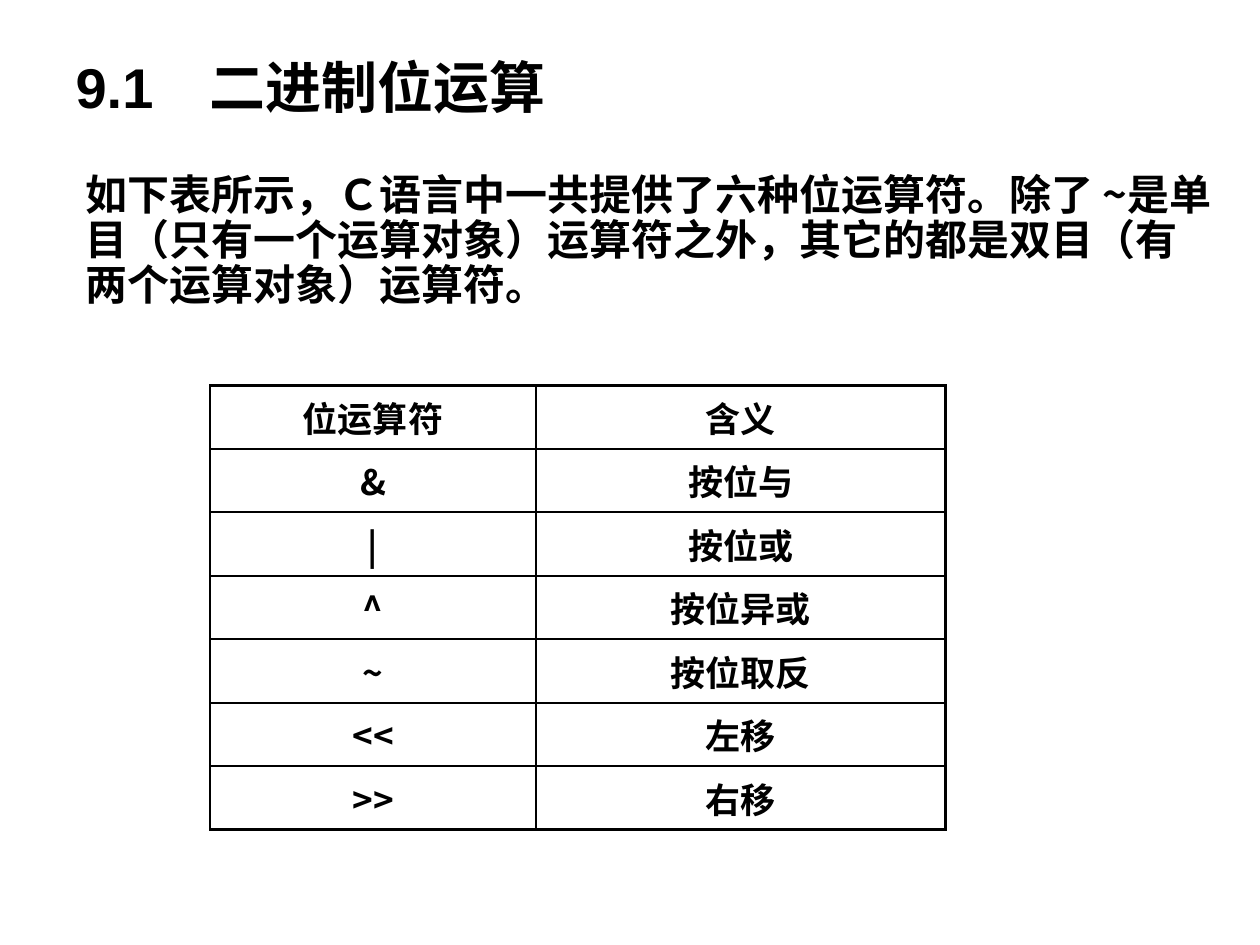
from lxml.etree import SubElement
from pptx import Presentation
from pptx.dml.color import RGBColor
from pptx.enum.text import MSO_ANCHOR as Anchor, MSO_AUTO_SIZE as AutoSize, PP_ALIGN as Align
from pptx.oxml import parse_xml
from pptx.oxml.ns import nsdecls, qn
from pptx.util import Cm, Pt

COLORS = {"ink": "000000", "paper": "FFFFFF"}
CJK = "Noto Sans CJK SC"
TITLE = "9.1　二进制位运算"
INTRO = (
    "如下表所示，Ｃ语言中一共提供了六种位运算符。除了 ~是单目（只有一个运算对象）运算符之外，"
    "其它的都是双目（有两个运算对象）运算符。"
)
OPERATORS = [
    ("位运算符", "含义"),
    ("&", "按位与"),
    ("|", "按位或"),
    ("^", "按位异或"),
    ("~", "按位取反"),
    ("<<", "左移"),
    (">>", "右移"),
]
ANCHORS = {"^": Anchor.MIDDLE, "~": Anchor.BOTTOM}
COLUMN_WIDTHS = (Cm(6.56), Cm(8.26))
ROW_HEIGHT = Cm(1.12)
BORDER_WIDTH = Pt(1.47)
FRAME_FORMAT = {"word_wrap": True, "auto_size": AutoSize.NONE}


def apply_format(target, values):
    for name, value in values.items():
        setattr(target, name, value)


def write_text(frame, text, size, latin=CJK, **para_format):
    para = frame.paragraphs[0]
    apply_format(para, para_format)
    span = para.add_run()
    span.text = text
    apply_format(span.font, {"name": latin, "size": Pt(size), "bold": True})
    span.font.color.rgb = RGBColor.from_string(COLORS["ink"])
    SubElement(span.font._element, qn("a:ea")).set("typeface", CJK)


def place_title(page):
    title = page.shapes.title
    apply_format(title, {"left": Cm(1.27), "top": Cm(0.76), "width": Cm(22.86), "height": Cm(1.96)})
    apply_format(title.text_frame, {**FRAME_FORMAT, "vertical_anchor": Anchor.MIDDLE})
    write_text(title.text_frame, TITLE, 32, latin="Arial", alignment=Align.LEFT)


def add_intro(page):
    box = page.shapes.add_textbox(Cm(1.47), Cm(3.38), Cm(23.24), Cm(3.28))
    apply_format(box.text_frame, FRAME_FORMAT)
    write_text(box.text_frame, INTRO, 24, line_spacing=0.9)


def add_borders(cell):
    properties = cell._tc.get_or_add_tcPr()
    for position, side in enumerate(("lnL", "lnR", "lnT", "lnB")):
        line = parse_xml(
            f'<a:{side} {nsdecls("a")} w="{BORDER_WIDTH}"><a:solidFill>'
            f'<a:srgbClr val="{COLORS["ink"]}"/></a:solidFill></a:{side}>'
        )
        properties.insert(position, line)


def add_operator_table(page):
    frame = page.shapes.add_table(
        len(OPERATORS), len(COLUMN_WIDTHS), Cm(4.24), Cm(7.77),
        sum(COLUMN_WIDTHS), ROW_HEIGHT * len(OPERATORS),
    )
    table = frame.table
    apply_format(table, {"first_row": False, "horz_banding": False})
    for column, width in zip(table.columns, COLUMN_WIDTHS):
        column.width = width
    for row, texts in zip(table.rows, OPERATORS):
        row.height = ROW_HEIGHT
        for cell, text in zip(row.cells, texts):
            cell.fill.solid()
            cell.fill.fore_color.rgb = RGBColor.from_string(COLORS["paper"])
            cell.vertical_anchor = ANCHORS.get(text, Anchor.TOP)
            add_borders(cell)
            write_text(cell.text_frame, text, 20, alignment=Align.CENTER)


def main():
    deck = Presentation()
    apply_format(deck, {"slide_width": Cm(25.4), "slide_height": Cm(19.05)})
    page = deck.slides.add_slide(deck.slide_layouts[5])
    place_title(page)
    add_intro(page)
    add_operator_table(page)
    deck.save("out.pptx")


if __name__ == "__main__":
    main()
